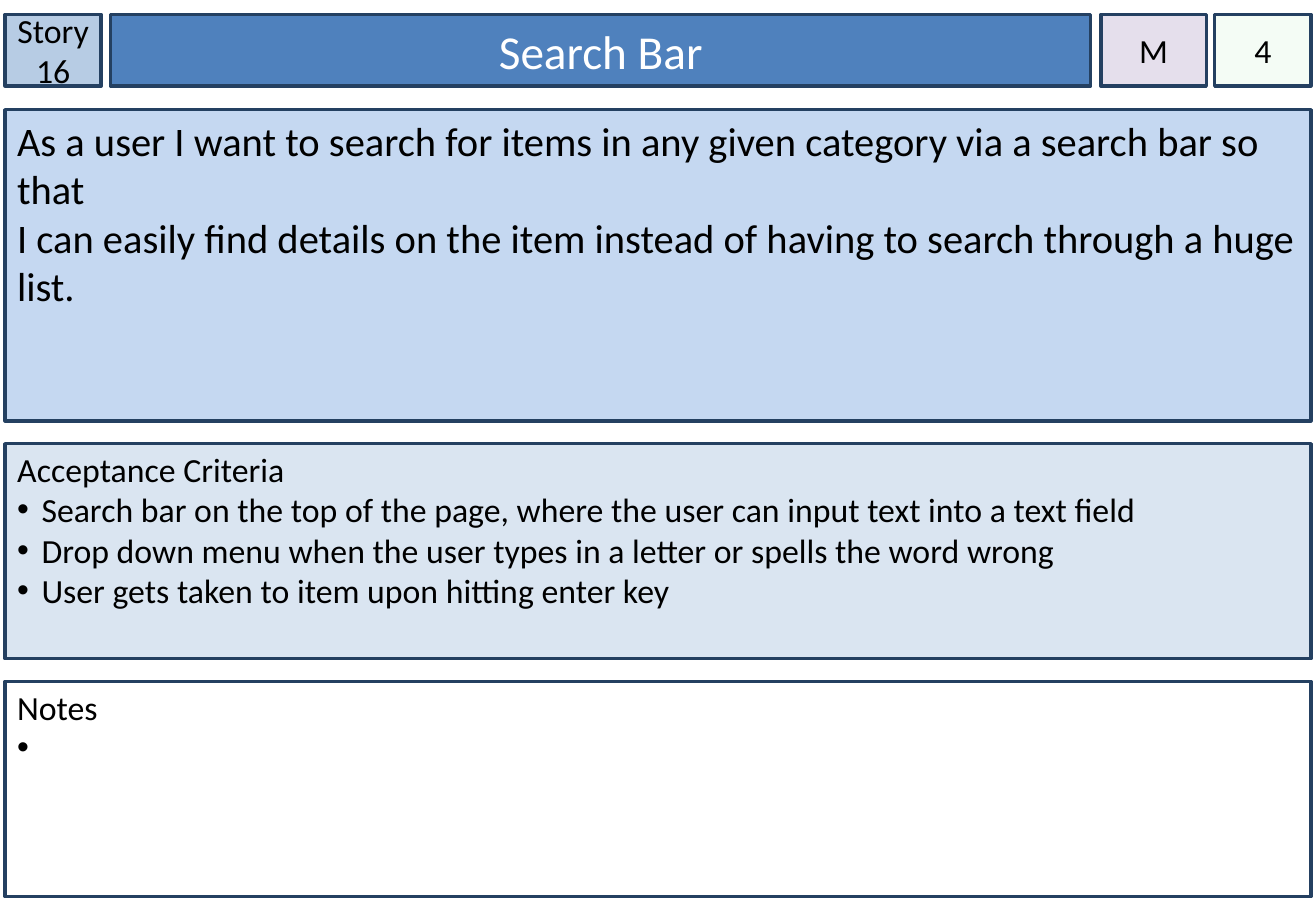
import pptx
import pptx.dml.color
import pptx.enum.shapes
import pptx.enum.text
import pptx.oxml.ns
import pptx.util
from lxml import etree

Pt = pptx.util.Pt
qn = pptx.oxml.ns.qn

MARGIN = 3
CONTENT_WIDTH = 774
HEADER_TOP, HEADER_HEIGHT = 8.5, 42.5


def color(hex_value):
    return pptx.dml.color.RGBColor.from_string(hex_value)


class StoryCard:
    font_name = "Calibri"
    text_color = "000000"
    border_color = "244061"
    border_width = 2
    bullet_indent = 14.4

    def __init__(self, presentation):
        self.slide = presentation.slides.add_slide(presentation.slide_layouts[1])

    def rectangle(self):
        shape = self.slide.shapes.add_shape(
            pptx.enum.shapes.MSO_SHAPE.RECTANGLE, 0, 0, 0, 0)
        shape.shadow.inherit = False
        return shape

    def frame(self, shape, box, fill, opacity=100):
        """Place a shape at box (left, top, width, height) with fill and border."""
        shape.left, shape.top, shape.width, shape.height = map(Pt, box)
        shape.fill.solid()
        shape.fill.fore_color.rgb = color(fill)
        if opacity < 100:
            fill_color = shape.element.spPr.find(qn("a:solidFill"))[0]
            etree.SubElement(fill_color, qn("a:alpha"), val=str(opacity * 1000))
        shape.line.color.rgb = color(self.border_color)
        shape.line.width = Pt(self.border_width)

    def set_text(self, shape, lines, size, font_color=None, centered=False,
                 side_inset=7.2, top_inset=3.6):
        text_frame = shape.text_frame
        text_frame.text = "\n".join(lines)
        text_frame.word_wrap = True
        text_frame.auto_size = pptx.enum.text.MSO_AUTO_SIZE.NONE
        anchors = pptx.enum.text.MSO_ANCHOR
        text_frame.vertical_anchor = anchors.MIDDLE if centered else anchors.TOP
        text_frame.margin_left = text_frame.margin_right = Pt(side_inset)
        text_frame.margin_top, text_frame.margin_bottom = Pt(top_inset), Pt(3.6)
        alignments = pptx.enum.text.PP_ALIGN
        for paragraph in text_frame.paragraphs:
            paragraph.alignment = alignments.CENTER if centered else alignments.LEFT
            paragraph.space_before = Pt(0)
            for run in paragraph.runs:
                run.font.name = self.font_name
                run.font.size = Pt(size)
                run.font.color.rgb = color(font_color or self.text_color)

    def title(self, text, box, fill):
        shape = self.slide.shapes.title
        self.frame(shape, box, fill)
        self.set_text(shape, [text], 28, "FFFFFF", centered=True)

    def tag(self, text, left, width, fill, opacity=100):
        shape = self.rectangle()
        self.frame(shape, (left, HEADER_TOP, width, HEADER_HEIGHT), fill, opacity)
        self.set_text(shape, [text], 20, centered=True, side_inset=0)

    def panel(self, lines, top, height, fill):
        shape = self.rectangle()
        self.frame(shape, (MARGIN, top, CONTENT_WIDTH, height), fill)
        self.set_text(shape, lines, 24)

    def list_panel(self, shape, heading, items, top, fill):
        self.frame(shape, (MARGIN, top, CONTENT_WIDTH, 127.5), fill)
        self.set_text(shape, [heading, *items], 20, top_inset=2.9)
        heading_paragraph, *item_paragraphs = shape.text_frame.paragraphs
        self.bullet(heading_paragraph, None)
        for paragraph in item_paragraphs:
            self.bullet(paragraph, "•")

    def bullet(self, paragraph, character):
        """Give a paragraph a hanging bullet, or none if character is None."""
        properties = paragraph._p.get_or_add_pPr()
        indent = Pt(self.bullet_indent) if character else 0
        properties.set("marL", str(indent))
        properties.set("indent", str(-indent))
        if character is None:
            etree.SubElement(properties, qn("a:buNone"))
            return
        bullet_color = etree.SubElement(properties, qn("a:buClr"))
        etree.SubElement(bullet_color, qn("a:srgbClr"), val=self.text_color)
        etree.SubElement(properties, qn("a:buFont"), typeface="Arial")
        etree.SubElement(properties, qn("a:buChar"), char=character)


def main():
    presentation = pptx.Presentation()
    presentation.slide_width, presentation.slide_height = Pt(780), Pt(540)
    card = StoryCard(presentation)

    card.tag("Story 16", MARGIN, 57, "B7CCE4")
    card.title("Search Bar", (65.5, HEADER_TOP, 581, HEADER_HEIGHT), "4F81BD")
    card.tag("M", 652.5, 62.5, "E5DFEC")
    card.tag("4", 720, 57, "CCF0CD", opacity=20)

    card.panel([
        "As a user I want to search for items in any given category via a search bar so that",
        "I can easily find details on the item instead of having to search through a huge list.",
    ], 65, 184.5, "C5D8F1")
    card.list_panel(card.slide.placeholders[1], "Acceptance Criteria", [
        "Search bar on the top of the page, where the user can input text into a text field",
        "Drop down menu when the user types in a letter or spells the word wrong",
        "User gets taken to item upon hitting enter key",
    ], 263, "DAE5F1")
    card.list_panel(card.rectangle(), "Notes", [" "], 404, "FFFFFF")

    presentation.save("out.pptx")


if __name__ == "__main__":
    main()
